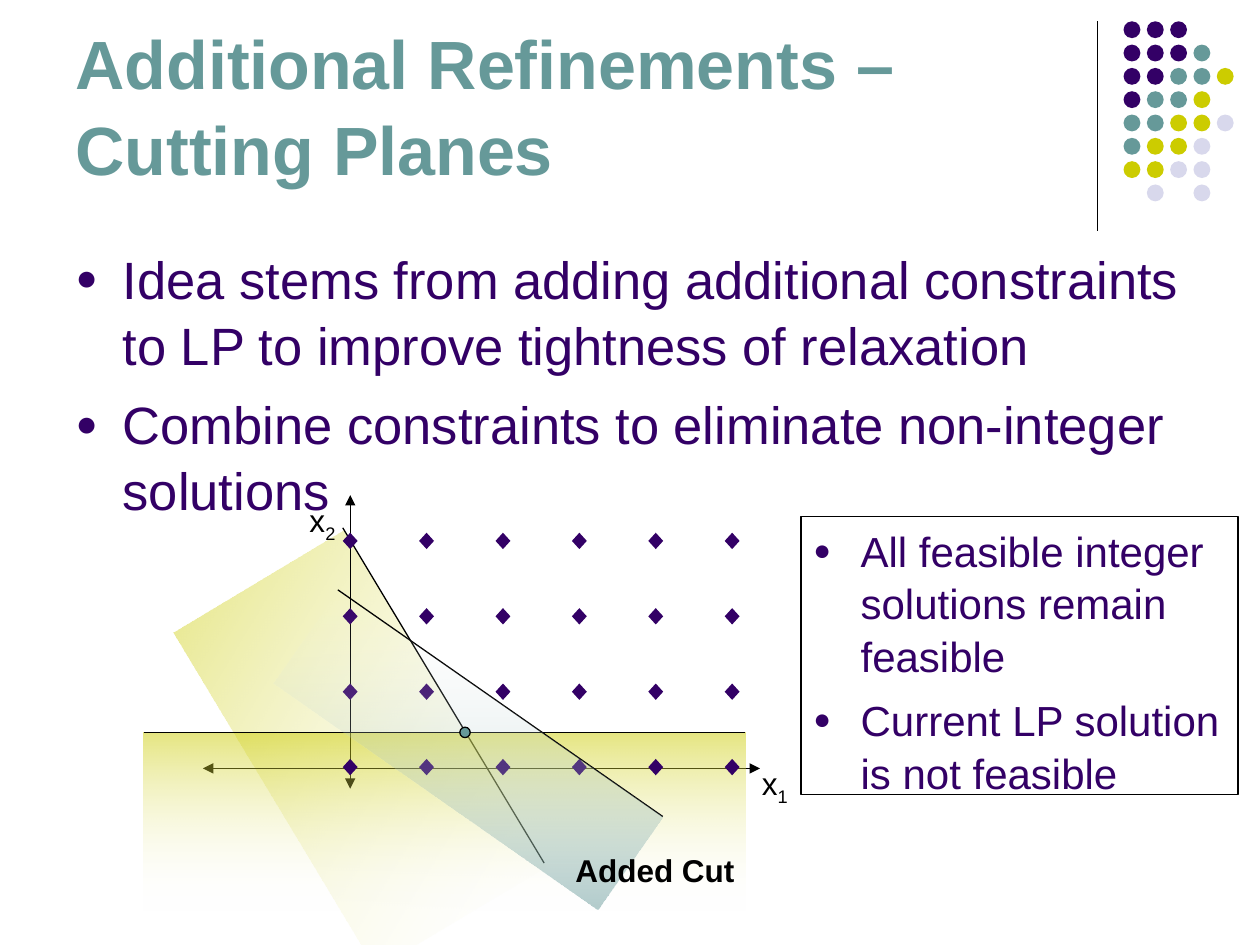
from lxml import etree
from pptx import Presentation
from pptx.dml.color import RGBColor
from pptx.enum.shapes import MSO_CONNECTOR, MSO_SHAPE
from pptx.enum.text import MSO_ANCHOR, MSO_AUTO_SIZE, PP_ALIGN
from pptx.oxml import parse_xml
from pptx.oxml.ns import nsdecls, qn
from pptx.util import Cm, Pt

HUES = {"plum": "330066", "teal": "669999", "lime": "CCCC00",
        "mist": "D8D8EC", "black": "000000", "white": "FEFEFE"}

TITLE = "Additional Refinements – \vCutting Planes"
POINTS = ["Idea stems from adding additional constraints to LP to improve "
          "tightness of relaxation",
          "Combine constraints to eliminate non-integer solutions"]
NOTES = ["All feasible integer solutions remain feasible",
         "Current LP solution is not feasible"]
LABELS = [("x", "1", (15.11, 15.27, 2.11, 1.12)),
          ("x", "2", (5.99, 9.98, 1.27, 1.12))]

# One letter per dot: the first letter of its hue
DOTS = ["ppp", "pppt", "ppttl", "pttl", "ttllm", "tllm", "llmm", " m m"]
DOT_HUES = {name[0]: name for name in ("plum", "teal", "lime", "mist")}


def boxed(box):
    return [Cm(side) for side in box]


def add_form(kind, box, fill=None, line=None, turn=0):
    form = slide.shapes.add_shape(kind, *boxed(box))
    form.shadow.inherit = False
    form.rotation = turn
    if fill:
        form.fill.solid()
        form.fill.fore_color.rgb = RGBColor.from_string(HUES[fill])
    else:
        form.fill.background()
    if line:
        form.line.color.rgb = RGBColor.from_string(HUES[line])
        form.line.width = Pt(0.75)
    else:
        form.line.fill.background()
    return form


def add_shade(box, stops, angle, turn=0):
    """Add a half-plane whose fade keeps its page angle; stops are (hue, opacity %)."""
    form = add_form(MSO_SHAPE.RECTANGLE, box, turn=turn)
    marks = "".join(
        f'<a:gs pos="{i * 100000}"><a:srgbClr val="{HUES[hue]}">'
        f'<a:alpha val="{alpha * 1000}"/></a:srgbClr></a:gs>'
        for i, (hue, alpha) in enumerate(stops))
    fade = parse_xml(
        f'<a:gradFill {nsdecls("a")} rotWithShape="0"><a:gsLst>{marks}</a:gsLst>'
        f'<a:lin ang="{angle * 60000}" scaled="0"/></a:gradFill>')
    props = form.fill._xPr
    props.replace(props.find(qn("a:noFill")), fade)


def add_line(start, end, arrows=False):
    line = slide.shapes.add_connector(
        MSO_CONNECTOR.STRAIGHT, *boxed(start + end))
    line.line.color.rgb = RGBColor.from_string(HUES["black"])
    line.line.width = Pt(0.75)
    if arrows:
        pen = line.line._get_or_add_ln()
        for tag in ("a:headEnd", "a:tailEnd"):
            etree.SubElement(pen, qn(tag), type="triangle")
    etree.SubElement(line._element.spPr, qn("a:effectLst"))


def add_mark(para):
    props = para._p.get_or_add_pPr()
    props.set("marL", str(Cm(0.95)))
    props.set("indent", str(Cm(-0.95)))
    color = etree.SubElement(props, qn("a:buClr"))
    etree.SubElement(color, qn("a:srgbClr"), val=HUES["plum"])
    etree.SubElement(props, qn("a:buSzPct"), val="70000")
    etree.SubElement(props, qn("a:buFont"), typeface="Arial")
    etree.SubElement(props, qn("a:buChar"), char="●")


def write(shape, texts, size, hue="black", bold=False, marks=False, gap=0,
          spread=1.0, anchor=MSO_ANCHOR.TOP, sub=None):
    frame = shape.text_frame
    frame.word_wrap = True
    frame.auto_size = MSO_AUTO_SIZE.NONE
    frame.vertical_anchor = anchor
    for i, text in enumerate(texts):
        para = frame.add_paragraph() if i else frame.paragraphs[0]
        para.text = text
        para.alignment = PP_ALIGN.LEFT
        para.line_spacing = spread
        para.space_before = Pt(gap if i else 0)
        if marks:
            add_mark(para)
        if sub:
            low = para.add_run()
            low.text = sub
            low.font._element.set("baseline", "-25000")
        for run in para.runs:
            run.font.name = "Arial"
            run.font.size = Pt(size)
            run.font.bold = bold
            run.font.color.rgb = RGBColor.from_string(HUES[hue])


def place(shape, box):
    shape.left, shape.top, shape.width, shape.height = boxed(box)
    return shape


deck = Presentation()
deck.slide_width, deck.slide_height = Cm(25.4), Cm(19.05)
slide = deck.slides.add_slide(deck.slide_layouts[1])

# Corner motif
add_line((22.12, 0.43), (22.12, 4.65))
for row, codes in enumerate(DOTS):
    for col, code in enumerate(codes):
        if code in DOT_HUES:
            add_form(MSO_SHAPE.OVAL,
                     (22.65 + col * 0.47, 0.43 + row * 0.47, 0.34, 0.34),
                     fill=DOT_HUES[code])

# Title and list
title, body = slide.placeholders
write(place(title, (1.27, 0.33, 20.96, 3.61)), [TITLE], 39, hue="teal",
      bold=True, spread=1.05, anchor=MSO_ANCHOR.BOTTOM)
write(place(body, (1.27, 4.78, 22.86, 12.24)), POINTS, 30, hue="plum",
      marks=True, gap=7.5, spread=1.05)

# Steep constraint, axes and flat constraint
LIME_FADE = [("lime", 50), ("white", 0)]
add_shade((3.3, 13.11, 7.9, 3.99), LIME_FADE, 31, turn=59)
add_line((6.91, 10.64), (10.97, 17.4))
add_line((7.06, 9.98), (7.06, 15.9), arrows=True)
add_line((4.09, 15.49), (15.32, 15.49), arrows=True)
for text, sub, box in LABELS:
    write(slide.shapes.add_textbox(*boxed(box)), [text], 18, sub=sub)
add_shade((2.9, 14.76, 12.12, 3.61), LIME_FADE, 90)
add_line((2.9, 14.76), (15.01, 14.76))

# Integer points
for row in range(4):
    for col in range(6):
        add_form(MSO_SHAPE.DIAMOND,
                 (6.91 + col * 1.54, 10.74 + row * 1.52, 0.3, 0.33), fill="plum")

# Added cut
add_line((13.36, 16.46), (6.81, 11.89))
add_shade((5.46, 13.97, 7.95, 2.29), [("white", 0), ("teal", 50)], 90, turn=215)
write(slide.shapes.add_textbox(*boxed((11.35, 17.04, 5.23, 1.02))),
      ["Added Cut"], 18, bold=True)

# Notes and current solution
panel = add_form(MSO_SHAPE.RECTANGLE, (16.15, 10.41, 8.81, 5.61), line="black")
write(panel, NOTES, 24, hue="plum", marks=True, gap=6, spread=1.05)
add_form(MSO_SHAPE.OVAL, (9.27, 14.66, 0.21, 0.21), fill="teal", line="black")

deck.save("out.pptx")
